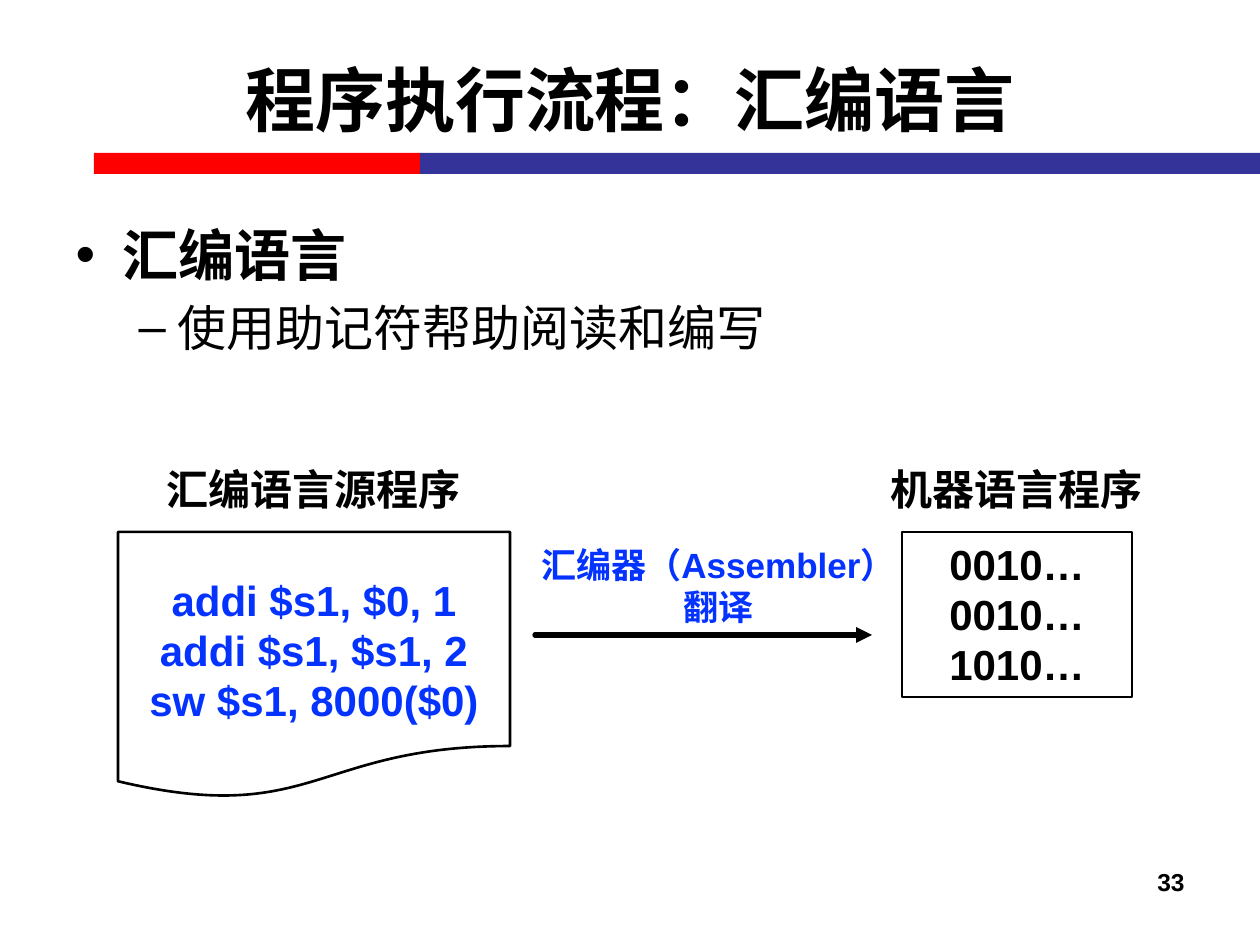
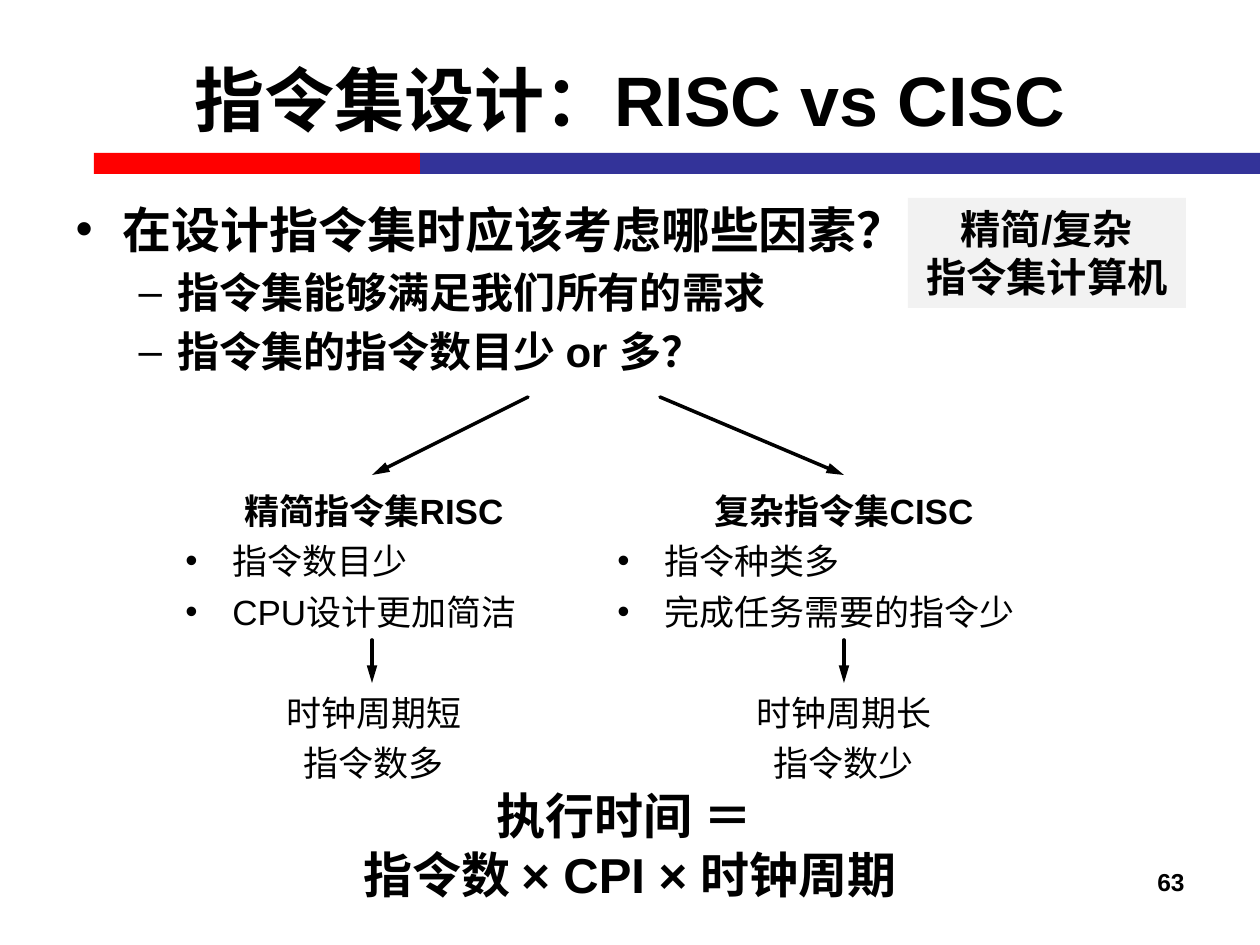
from lxml.etree import SubElement
from pptx import Presentation
from pptx.dml.color import RGBColor
from pptx.enum.shapes import MSO_CONNECTOR, MSO_SHAPE
from pptx.enum.text import MSO_ANCHOR, PP_ALIGN
from pptx.oxml.ns import qn
from pptx.util import Emu, Pt

EMU_PER_PX = 914400 / 126
FONT = "Arial"
COLORS = {"black": "000000", "red": "FF0000", "navy": "333399",
          "blue": "0432FF", "gray": "F2F2F2"}

# Text lists for the body: (text, level, size, bold)
ASSEMBLY = {
    "title": "程序执行流程：汇编语言",
    "number": "33",
    "body_top": 214,
    "body": [("汇编语言", 0, 32, True),
             ("使用助记符帮助阅读和编写", 1, 28, False)],
}
INSTRUCTION_SETS = {
    "title": "指令集设计：RISC vs CISC",
    "number": "63",
    "body_top": 193,
    "body": [("在设计指令集时应该考虑哪些因素？", 0, 28, True),
             ("指令集能够满足我们所有的需求", 1, 24, True),
             ("指令集的指令数目少 or 多？", 1, 24, True)],
}
SOURCE_CODE = ["addi $s1, $0, 1", "addi $s1, $s1, 2", "sw $s1, 8000($0)"]
MACHINE_CODE = ["0010…", "0010…", "1010…"]
BRANCHES = [
    {"heading": "精简指令集RISC", "traits": ["指令数目少", "CPU设计更加简洁"],
     "results": ["时钟周期短", "指令数多"],
     "left": 173, "width": 402, "arrow_start": 528, "axis": 372},
    {"heading": "复杂指令集CISC", "traits": ["指令种类多", "完成任务需要的指令少"],
     "results": ["时钟周期长", "指令数少"],
     "left": 605, "width": 478, "arrow_start": 660, "axis": 844},
]
BANDS = [("red", 94, 326), ("navy", 420, 840)]


def px(*lengths):
    return [Emu(round(length * EMU_PER_PX)) for length in lengths]


def rgb(name):
    return RGBColor.from_string(COLORS[name])


def place(shape, left, top, width, height):
    shape.left, shape.top, shape.width, shape.height = px(left, top, width, height)


def set_font(paragraph, size, bold=True, color="black"):
    font = paragraph.font
    font.name, font.size, font.bold = FONT, Pt(size), bold
    font.color.rgb = rgb(color)


def write_lines(shape, lines, size, color="black", align=PP_ALIGN.CENTER, bold=True):
    """Fill the shape with one paragraph per line and return the paragraphs."""
    frame = shape.text_frame
    frame.word_wrap = True
    frame.vertical_anchor = MSO_ANCHOR.TOP
    frame.text = "\n".join(lines)
    for paragraph in frame.paragraphs:
        paragraph.alignment = align
        set_font(paragraph, size, bold, color)
    return frame.paragraphs


def add_text(slide, box, lines, size, **style):
    return write_lines(slide.shapes.add_textbox(*px(*box)), lines, size, **style)


def add_panel(slide, kind, box, fill=None, line=None):
    shape = slide.shapes.add_shape(kind, *px(*box))
    shape.shadow.inherit = False
    if fill:
        shape.fill.solid()
        shape.fill.fore_color.rgb = rgb(fill)
    else:
        shape.fill.background()
    if line:
        shape.line.color.rgb = rgb(line)
        shape.line.width = Pt(1.5)
    else:
        shape.line.fill.background()
    return shape


def add_arrow(slide, start, end, width=2, head_length="lg"):
    arrow = slide.shapes.add_connector(MSO_CONNECTOR.STRAIGHT, *px(*start, *end))
    arrow.line.color.rgb = rgb("black")
    arrow.line.width = Pt(width)
    line = arrow.line._get_or_add_ln()
    line.set("cap", "rnd")
    SubElement(line, qn("a:tailEnd"), type="triangle", w="med", len=head_length)
    SubElement(arrow.element.spPr, qn("a:effectLst"))


def add_bullet(paragraph):
    properties = paragraph._p.get_or_add_pPr()
    indent = px(47)[0]
    properties.set("marL", str(indent))
    properties.set("indent", str(-indent))
    SubElement(properties, qn("a:buFont"), typeface=FONT)
    SubElement(properties, qn("a:buChar"), char="•")


def add_bands_to_layout(slide):
    """Draw the title bands, then move them behind the layout's placeholders."""
    first_placeholder = slide.slide_layout.placeholders[0].element
    for color, left, width in BANDS:
        band = add_panel(slide, MSO_SHAPE.RECTANGLE, (left, 153, width, 21), fill=color)
        first_placeholder.addprevious(band.element)


def add_slide(presentation, content):
    slide = presentation.slides.add_slide(presentation.slide_layouts[1])
    title, body = slide.placeholders
    place(title, 63, 19, 1134, 158)
    title.text_frame.text = content["title"]
    set_font(title.text_frame.paragraphs[0], 40)

    place(body, 63, content["body_top"], 1134, 624)
    body.text_frame.text = "\n".join(item[0] for item in content["body"])
    for paragraph, item in zip(body.text_frame.paragraphs, content["body"]):
        _, paragraph.level, size, bold = item
        set_font(paragraph, size, bold)

    add_text(slide, (903, 861, 294, 66), [content["number"]], 14, align=PP_ALIGN.RIGHT)
    return slide


def draw_translation(slide):
    add_text(slide, (154, 457, 320, 63), ["汇编语言源程序"], 24)
    add_text(slide, (872, 457, 290, 63), ["机器语言程序"], 24)
    add_panel(slide, MSO_SHAPE.FLOWCHART_DOCUMENT, (118, 532, 392, 267), line="black")
    add_text(slide, (132, 568, 364, 165), SOURCE_CODE, 24, color="blue")
    machine = add_panel(slide, MSO_SHAPE.RECTANGLE, (902, 532, 230, 165), line="black")
    write_lines(machine, MACHINE_CODE, 24)
    add_arrow(slide, (535, 635), (872, 635), width=3, head_length="med")
    add_text(slide, (517, 537, 403, 97), ["汇编器（Assembler）翻译"], 20, color="blue")


def draw_branch(slide, branch):
    traits, results = branch["traits"], branch["results"]
    paragraphs = add_text(slide, (branch["left"], 475, branch["width"], 318),
                          [branch["heading"], *traits, *results], 20, bold=False)
    first_result = 1 + len(traits)
    for paragraph in paragraphs:
        paragraph.line_spacing = 1.2
    paragraphs[0].font.bold = True
    for paragraph in paragraphs[1:first_result]:
        paragraph.alignment = PP_ALIGN.LEFT
        properties = paragraph._p.pPr
        properties.remove(properties.find(qn("a:defRPr")))
        add_bullet(paragraph)
        set_font(paragraph, 20, bold=False)
    paragraphs[first_result].space_before = Pt(29)

    axis = branch["axis"]
    add_arrow(slide, (branch["arrow_start"], 397), (axis, 475))
    add_arrow(slide, (axis, 640), (axis, 683))


def draw_comparison(slide):
    for branch in BRANCHES:
        draw_branch(slide, branch)
    tag = add_panel(slide, MSO_SHAPE.RECTANGLE, (908, 198, 278, 110), fill="gray")
    write_lines(tag, ["精简/复杂", "指令集计算机"], 23)
    add_text(slide, (101, 779, 1058, 131), ["执行时间 ＝ ", "指令数 × CPI × 时钟周期"], 28)


def main():
    presentation = Presentation()
    presentation.slide_width, presentation.slide_height = px(1260, 945)
    assembly = add_slide(presentation, ASSEMBLY)
    add_bands_to_layout(assembly)
    draw_translation(assembly)
    draw_comparison(add_slide(presentation, INSTRUCTION_SETS))
    presentation.save("out.pptx")


if __name__ == "__main__":
    main()
